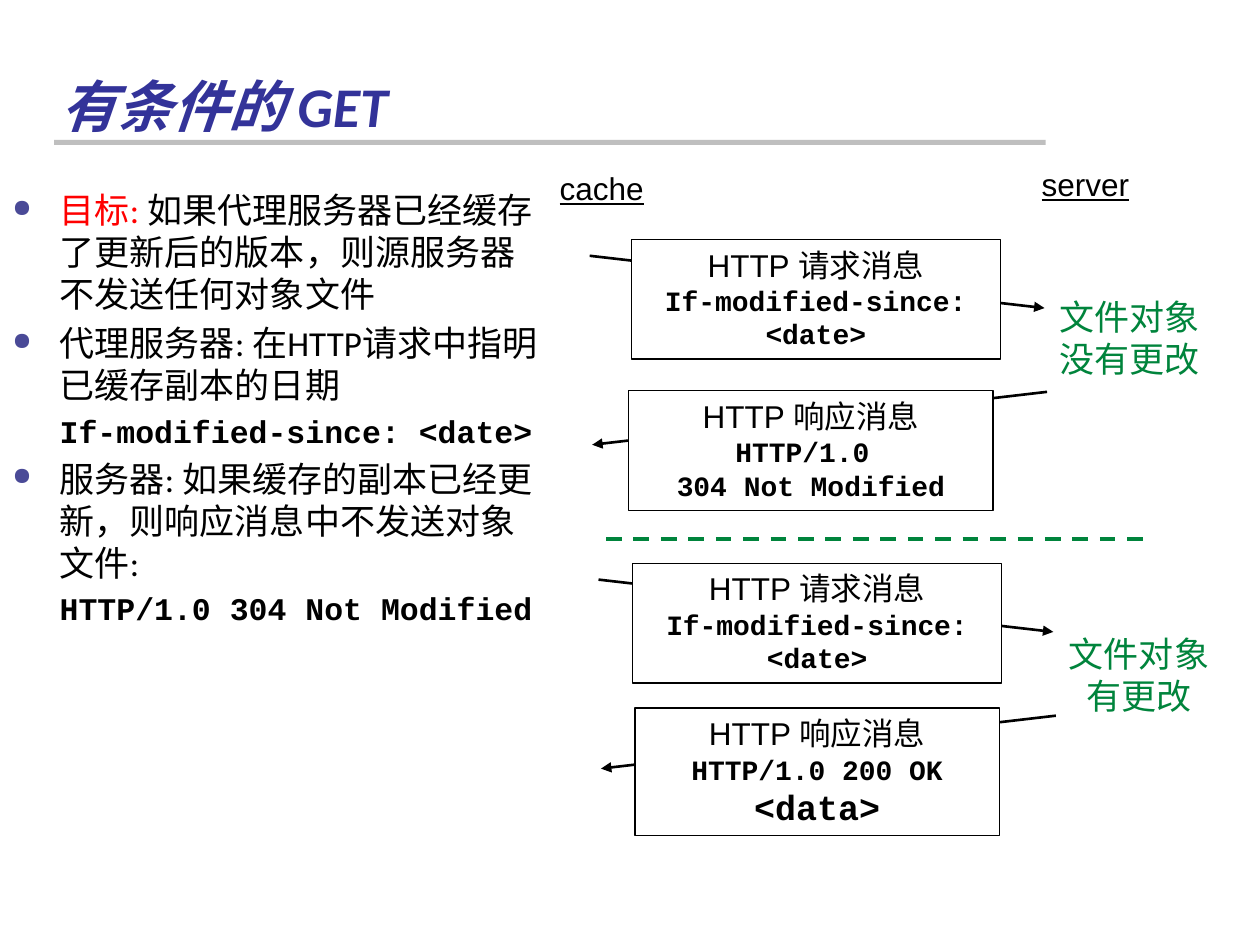
from lxml.etree import SubElement
from pptx import Presentation
from pptx.dml.color import RGBColor
from pptx.enum.dml import MSO_LINE_DASH_STYLE as Dash
from pptx.enum.shapes import MSO_CONNECTOR as Connector, MSO_SHAPE as Shape
from pptx.enum.text import MSO_ANCHOR as Anchor, MSO_AUTO_SIZE as AutoSize, PP_ALIGN as Align
from pptx.oxml.ns import qn
from pptx.util import Inches, Pt

# The page is a grid of 100 columns by 75 rows
COLUMNS, ROWS = 100, 75
CELL = Inches(0.1)

BLACK, WHITE, RED, GREEN = "000000", "FFFFFF", "FF0000", "00843C"
NAVY, VIOLET, GREY = "333399", "4A4A97", "BFBFBF"
SANS, BODY, MONO = "Arial", "Calibri", "Courier New"


def grid(*counts):
    return [round(count * CELL) for count in counts]


def paint(target, color):
    """Colour a fill or a font."""
    if hasattr(target, "solid"):
        target.solid()
        target.fore_color.rgb = RGBColor.from_string(color)
    else:
        target.color.rgb = RGBColor.from_string(color)


def style(font, name, size, color=BLACK, **flags):
    font.name, font.size = name, Pt(size)
    paint(font, color)
    for flag, value in flags.items():
        setattr(font, flag, value)


def write(frame, lines, align=Align.CENTER):
    """Fill a frame with (text, font name, size, colour, flags) lines."""
    for index, (text, name, size, color, flags) in enumerate(lines):
        para = frame.paragraphs[0] if index == 0 else frame.add_paragraph()
        para.text, para.alignment = text, align
        style(para.font, name, size, color, **flags)


def add_text(page, place, lines, align=Align.CENTER, wrap=False, anchor=Anchor.TOP):
    frame = page.shapes.add_textbox(*grid(*place)).text_frame
    frame.word_wrap, frame.vertical_anchor = wrap, anchor
    write(frame, lines, align)
    return frame


def add_rect(page, place, fill):
    rect = page.shapes.add_shape(Shape.RECTANGLE, *grid(*place))
    rect.shadow.inherit = False
    paint(rect.fill, fill)
    rect.line.fill.background()
    return rect


def add_line(page, ends, color=BLACK, width=1.5, arrow=False, dash=None):
    line = page.shapes.add_connector(Connector.STRAIGHT, *grid(*ends))
    paint(line.line, color) if hasattr(line.line, "solid") else paint(line.line.fill, color)
    line.line.width = Pt(width)
    if dash:
        line.line.dash_style = dash
    if arrow:
        SubElement(line.line._get_or_add_ln(), qn("a:tailEnd"), type="triangle")
    SubElement(line._element.spPr, qn("a:effectLst"))


def add_message(page, place, title, *details):
    """A bordered message: a plain title above monospaced (text, size) lines."""
    box = add_rect(page, place, WHITE)
    paint(box.line.fill, BLACK)
    box.line.width = Pt(0.75)
    frame = box.text_frame
    frame.word_wrap, frame.vertical_anchor = True, Anchor.TOP
    frame.auto_size = AutoSize.SHAPE_TO_FIT_TEXT
    write(frame, [(title, SANS, 18, BLACK, {})]
          + [(text, MONO, size, BLACK, {"bold": True}) for text, size in details])


def add_exchange(page, left, top, request, response, details, verdict, lines):
    """A request arrow, a response arrow, their messages and the verdict."""
    add_line(page, (left, top, left + 36.1, top + 4.15), arrow=True)
    add_message(page, request, "HTTP 请求消息", ("If-modified-since: <date>", 16))
    add_line(page, (left + 36.3, top + 10.8, left + 0.2, top + 15), arrow=True)
    add_message(page, response, "HTTP 响应消息", *details)
    add_text(page, verdict, [(text, SANS, 20, GREEN, {}) for text in lines])


def add_point(frame, spans, code=False):
    """A bulleted point of (text, colour) spans, or an indented code line."""
    first = not frame.paragraphs[0].runs
    para = frame.paragraphs[0] if first else frame.add_paragraph()
    hang = round(3.75 * CELL)
    props = para._p.get_or_add_pPr()
    props.set("marL", str(hang))
    props.set("indent", str(0 if code else -hang))
    if code:
        SubElement(props, qn("a:buNone"))
    else:
        SubElement(SubElement(props, qn("a:buClr")), qn("a:srgbClr"), val=VIOLET)
        SubElement(props, qn("a:buSzPct"), val="70000")
        SubElement(props, qn("a:buChar"), char="●")
    if not first:
        para.space_before = Pt(3.6 if code else 4)
    style(para.font, MONO if code else BODY, 18 if code else 20, bold=code)
    for text, color in spans:
        span = para.add_run()
        span.text = text
        if color != BLACK:
            paint(span.font, color)


def main():
    deck = Presentation()
    deck.slide_width, deck.slide_height = grid(COLUMNS, ROWS)
    page = deck.slides.add_slide(deck.slide_layouts[6])

    # Title and its rule
    add_rect(page, (4.3, 11.1, 78.7, 0.4), GREY)
    add_text(page, (3.8, 2.5, 87.1, 9),
             [("有条件的 GET", BODY, 32, NAVY, {"bold": True, "italic": True})],
             Align.LEFT, True, Anchor.BOTTOM)

    # Explanation
    points = add_text(page, (0, 14.5, 44.2, 47.1), [], wrap=True)
    add_point(points, [("目标: ", RED),
                       ("如果代理服务器已经缓存了更新后的版本，则源服务器不发送任何对象文件", BLACK)])
    add_point(points, [("代理服务器: 在HTTP请求中指明已缓存副本的日期", BLACK)])
    add_point(points, [("If-modified-since: <date>", BLACK)], code=True)
    add_point(points, [("服务器: 如果缓存的副本已经更新，则响应消息中不发送对象文件:", BLACK)])
    add_point(points, [("HTTP/1.0 304 Not Modified", BLACK)], code=True)

    # The two ends
    for name, place in (("cache", (42.3, 12.9, 10.9, 5)), ("server", (80.1, 12.6, 12.1, 5))):
        add_text(page, place, [(name, SANS, 18, BLACK, {"underline": True})])

    # Exchanges, parted by a dashed line
    add_exchange(page, 46.8, 20.3, (50.1, 19, 29.3, 9.5), (49.9, 31, 28.9, 9.5),
                 [("HTTP/1.0 ", 16), ("304 Not Modified", 16)],
                 (83.1, 23, 13.1, 7.7), ["文件对象", "没有更改"])
    add_line(page, (48.1, 42.8, 90.8, 42.8), GREEN, 2.25, dash=Dash.DASH)
    add_exchange(page, 47.5, 46, (50.2, 44.7, 29.3, 9.5), (50.4, 56.2, 28.9, 10.1),
                 [("HTTP/1.0 200 OK", 16), ("<data>", 20)],
                 (83.8, 49.7, 13.2, 7.7), ["文件对象", "有更改"])

    deck.save("out.pptx")


if __name__ == "__main__":
    main()
